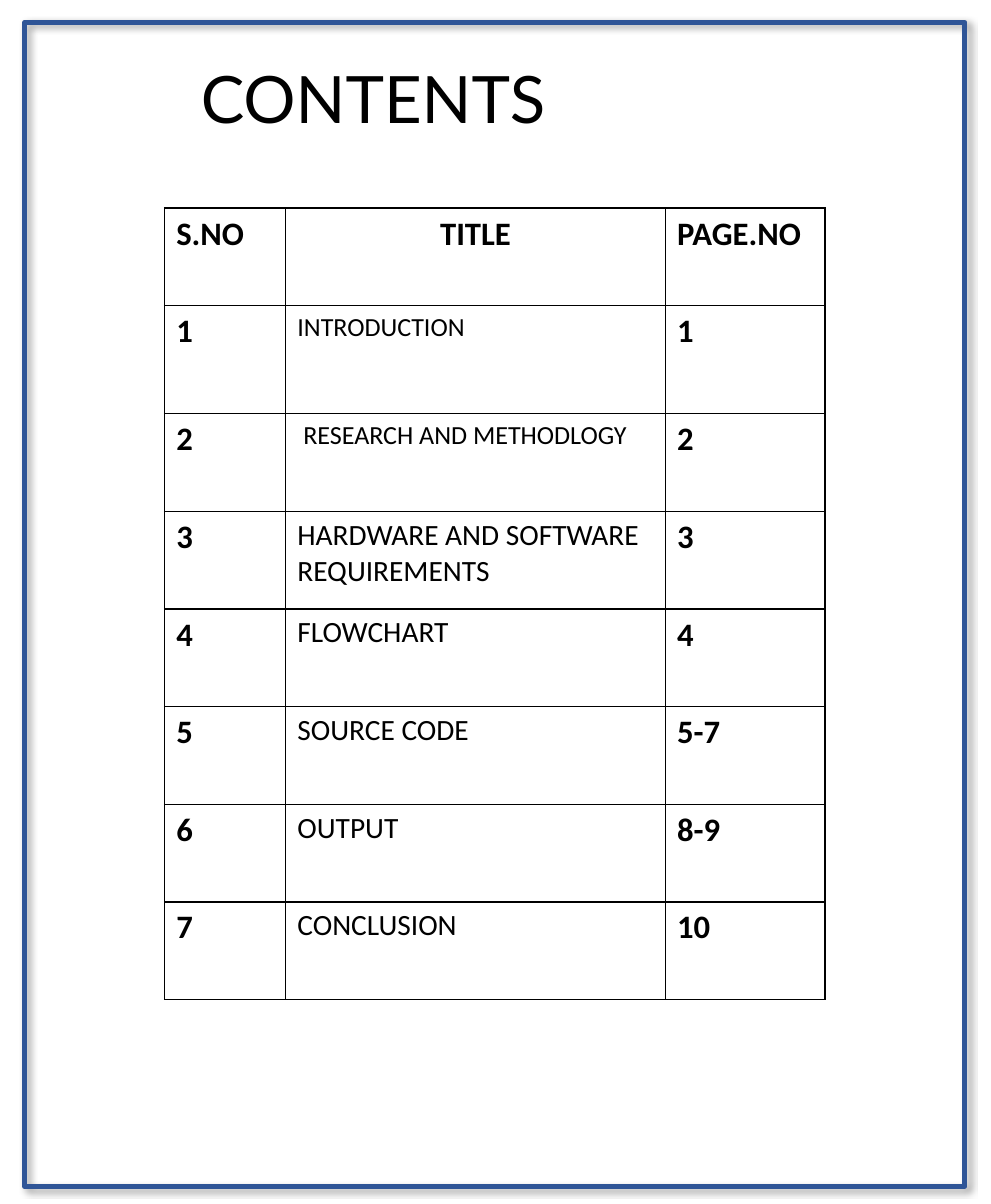
from dataclasses import dataclass

from lxml.etree import SubElement
from pptx import Presentation
from pptx.dml.color import RGBColor
from pptx.enum.shapes import MSO_SHAPE as Shape
from pptx.enum.text import MSO_ANCHOR as Anchor, PP_ALIGN as Align
from pptx.oxml import parse_xml
from pptx.oxml.ns import nsdecls, qn
from pptx.util import Pt


@dataclass(frozen=True)
class Theme:
    ink: str = "000000"
    frame: str = "2F5597"
    paper: str = "FFFFFF"
    title_font: str = "Lato"
    table_font: str = "Calibri"
    title_size: int = 40
    strong_size: int = 20
    entry_size: int = 18
    small_size: int = 16


THEME = Theme()
TITLE_ONLY = 5
COLUMN_WIDTHS = (74.2, 232.6, 97.9)
ROW_HEIGHT, FIRST_ENTRY_HEIGHT = 59.8, 66.2

HEADINGS = ("S.NO", "TITLE", "PAGE.NO")
# Entry title, type size, pages
ENTRIES = (
    ("INTRODUCTION", THEME.small_size, "1"),
    (" RESEARCH AND METHODLOGY", THEME.small_size, "2"),
    ("HARDWARE AND SOFTWARE REQUIREMENTS", THEME.entry_size, "3"),
    ("FLOWCHART", THEME.entry_size, "4"),
    ("SOURCE CODE", THEME.entry_size, "5-7"),
    ("OUTPUT", THEME.entry_size, "8-9"),
    ("CONCLUSION", THEME.entry_size, "10"),
)


def add_run(para, text, font, size, bold=False):
    span = para.add_run()
    span.text = text
    span.font.name = font
    span.font.size = Pt(size)
    span.font.bold = bold
    span.font.color.rgb = RGBColor.from_string(THEME.ink)


def set_title(page, text, left, top, width, height):
    title = page.shapes.title
    title.left, title.top = Pt(left), Pt(top)
    title.width, title.height = Pt(width), Pt(height)
    title.text_frame.vertical_anchor = Anchor.TOP
    title.text_frame.word_wrap = True
    para = title.text_frame.paragraphs[0]
    para.alignment = Align.LEFT
    para.line_spacing = 0.9
    para.space_before = Pt(0)
    add_run(para, text, THEME.title_font, THEME.title_size)


def add_frame(page, left, top, width, height):
    frame = page.shapes.add_shape(
        Shape.RECTANGLE, Pt(left), Pt(top), Pt(width), Pt(height))
    frame.fill.background()
    frame.line.color.rgb = RGBColor.from_string(THEME.frame)
    frame.line.width = Pt(3)
    frame.shadow.inherit = False
    # Soft shadow to the lower right
    effects = frame.element.spPr.find(qn("a:effectLst"))
    shadow = SubElement(effects, qn("a:outerShdw"), blurRad=str(Pt(4)),
                        dist=str(Pt(3)), dir=str(45 * 60000), algn="tl")
    color = SubElement(shadow, qn("a:srgbClr"), val=THEME.ink)
    SubElement(color, qn("a:alpha"), val="40000")


def set_borders(cell):
    properties = cell._tc.get_or_add_tcPr()
    for index, side in enumerate(("lnL", "lnR", "lnT", "lnB")):
        properties.insert(index, parse_xml(
            f'<a:{side} {nsdecls("a")} w="{Pt(1)}"><a:solidFill>'
            f'<a:srgbClr val="{THEME.ink}"/></a:solidFill></a:{side}>'))


def fill_cell(cell, text, size=THEME.strong_size, bold=True, align=Align.LEFT):
    cell.fill.background()
    set_borders(cell)
    para = cell.text_frame.paragraphs[0]
    para.alignment = align
    add_run(para, text, THEME.table_font, size, bold)


def add_contents_table(page, left, top):
    heights = [ROW_HEIGHT] * (len(ENTRIES) + 1)
    heights[1] = FIRST_ENTRY_HEIGHT
    table = page.shapes.add_table(
        len(heights), len(COLUMN_WIDTHS), Pt(left), Pt(top),
        Pt(sum(COLUMN_WIDTHS)), Pt(sum(heights))).table
    table.first_row = table.horz_banding = False
    for column, width in zip(table.columns, COLUMN_WIDTHS):
        column.width = Pt(width)
    for row, height in zip(table.rows, heights):
        row.height = Pt(height)

    # Heading row
    for column, heading in enumerate(HEADINGS):
        align = Align.CENTER if heading == "TITLE" else Align.LEFT
        fill_cell(table.cell(0, column), heading, align=align)

    # Numbered entries
    for number, (entry, size, pages) in enumerate(ENTRIES, start=1):
        fill_cell(table.cell(number, 0), str(number))
        fill_cell(table.cell(number, 1), entry, size, bold=False)
        fill_cell(table.cell(number, 2), pages)


def main():
    deck = Presentation()
    deck.slide_width, deck.slide_height = Pt(607), Pt(737.3)
    page = deck.slides.add_slide(deck.slide_layouts[TITLE_ONLY])
    page.background.fill.solid()
    page.background.fill.fore_color.rgb = RGBColor.from_string(THEME.paper)

    set_title(page, "CONTENTS", 115.8, 37.4, 440, 60)
    add_frame(page, 15.1, 13.7, 576, 712.8)
    add_contents_table(page, 100.8, 127.4)
    deck.save("out.pptx")


main()
